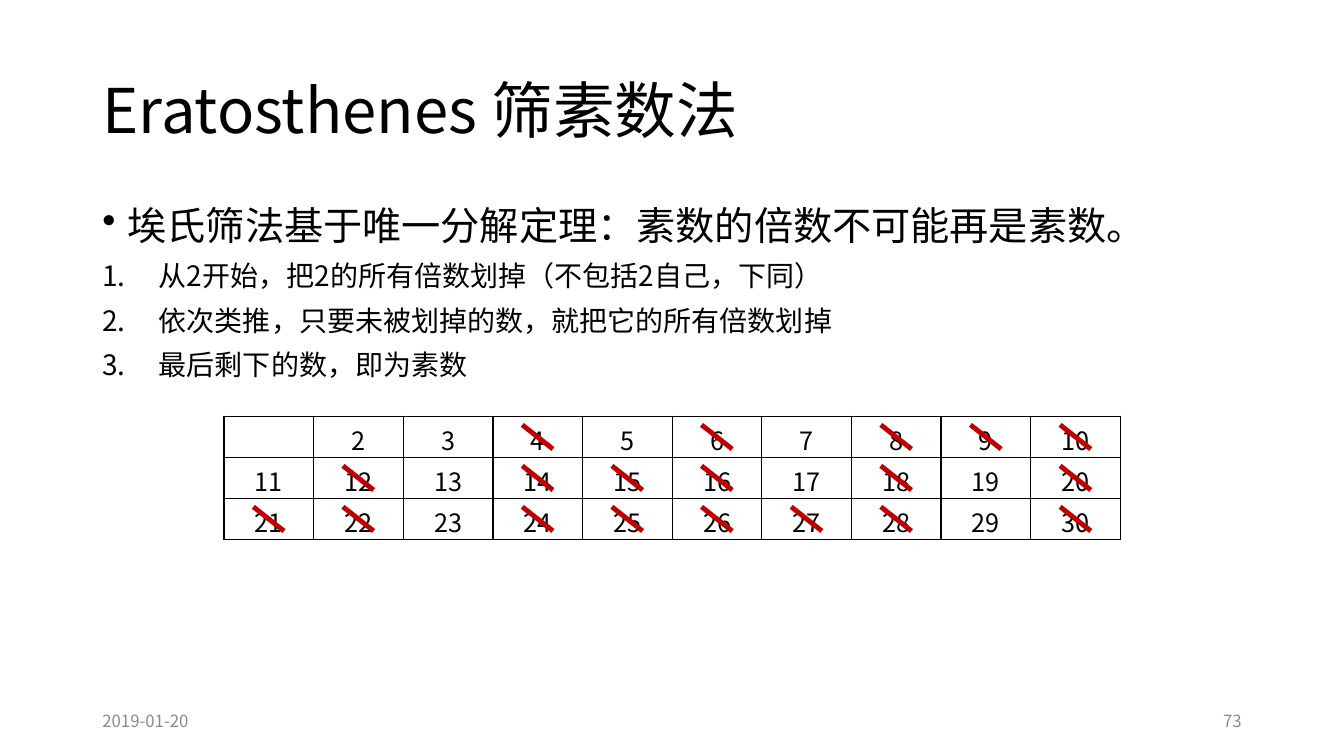
from dataclasses import dataclass

import lxml.etree
import pptx
import pptx.dml.color
import pptx.enum.shapes
import pptx.enum.text
import pptx.oxml.ns
import pptx.util

ALIGN = pptx.enum.text.PP_ALIGN
ANCHOR = pptx.enum.text.MSO_ANCHOR
qn = pptx.oxml.ns.qn


@dataclass(frozen=True)
class Theme:
    font: str = "Noto Sans CJK SC"
    ink: str = "000000"
    muted: str = "8C8C8C"
    strike: str = "C00000"
    title: int = 44
    lead: int = 28
    step: int = 20
    number: int = 18
    footer: int = 12
    border_width: float = 1
    strike_width: float = 3.5


class Deck:
    """Places elements by percentages of the slide's width and height."""

    def __init__(self, theme):
        self.theme = theme
        self.prs = pptx.Presentation()
        self.prs.slide_width = pptx.util.Inches(13.33)
        self.prs.slide_height = pptx.util.Inches(7.5)
        self.s = self.prs.slides.add_slide(self.prs.slide_layouts[5])

    def x(self, share):
        return round(self.prs.slide_width * share / 100)

    def y(self, share):
        return round(self.prs.slide_height * share / 100)

    def box(self, left, top, width, height):
        return self.x(left), self.y(top), self.x(width), self.y(height)

    def run(self, p, text, size, color=None):
        r = p.add_run()
        r.text = text
        r.font.size = pptx.util.Pt(size)
        r.font.color.rgb = pptx.dml.color.RGBColor.from_string(color or self.theme.ink)
        r.font.name = self.theme.font
        lxml.etree.SubElement(r.font._element, qn("a:ea"), typeface=self.theme.font)

    def title(self, text, *place):
        sp = self.s.shapes.title
        sp.left, sp.top, sp.width, sp.height = self.box(*place)
        tf = sp.text_frame
        tf.vertical_anchor = ANCHOR.MIDDLE
        tf.auto_size = pptx.enum.text.MSO_AUTO_SIZE.NONE
        p = tf.paragraphs[0]
        p.alignment = ALIGN.LEFT
        p.line_spacing = 0.9
        self.run(p, text, self.theme.title)

    def text_box(self, *place, anchor=ANCHOR.TOP):
        tf = self.s.shapes.add_textbox(*self.box(*place)).text_frame
        tf.word_wrap = True
        tf.vertical_anchor = anchor
        return tf

    def list_item(self, p, text, size, indent, marker, **marker_attributes):
        p.line_spacing = 0.9
        p.space_before = pptx.util.Pt(10)
        pPr = p._p.get_or_add_pPr()
        hang = pptx.util.Inches(indent)
        pPr.set("marL", str(hang))
        pPr.set("indent", str(-hang))
        lxml.etree.SubElement(pPr, qn(marker), **marker_attributes)
        self.run(p, text, size)

    def body(self, lead, steps, *place):
        tf = self.text_box(*place)
        self.list_item(tf.paragraphs[0], lead, self.theme.lead, 0.25, "a:buChar", char="•")
        for step in steps:
            self.list_item(tf.add_paragraph(), step, self.theme.step, 0.56,
                           "a:buAutoNum", type="arabicPeriod")

    def footer(self, text, align, *place):
        p = self.text_box(*place, anchor=ANCHOR.MIDDLE).paragraphs[0]
        p.alignment = align
        self.run(p, text, self.theme.footer, self.theme.muted)

    def borders(self, cell):
        tcPr = cell._tc.get_or_add_tcPr()
        width = str(pptx.util.Pt(self.theme.border_width))
        for side in ("a:lnL", "a:lnR", "a:lnT", "a:lnB"):
            ln = lxml.etree.SubElement(tcPr, qn(side), w=width)
            fill = lxml.etree.SubElement(ln, qn("a:solidFill"))
            lxml.etree.SubElement(fill, qn("a:srgbClr"), val=self.theme.ink)

    def number_table(self, rows, *place):
        frame = self.s.shapes.add_table(len(rows), len(rows[0]), *self.box(*place))
        table = frame.table
        table.first_row = table.horz_banding = False
        for i, row in enumerate(rows):
            for j, number in enumerate(row):
                cell = table.cell(i, j)
                self.borders(cell)
                cell.fill.background()
                p = cell.text_frame.paragraphs[0]
                p.alignment = ALIGN.CENTER
                if number > 1:
                    self.run(p, str(number), self.theme.number)

    def strike(self, left, top, width, height):
        line = self.s.shapes.add_connector(
            pptx.enum.shapes.MSO_CONNECTOR.STRAIGHT,
            self.x(left), self.y(top), self.x(left + width), self.y(top + height))
        line.line.color.rgb = pptx.dml.color.RGBColor.from_string(self.theme.strike)
        line.line.width = pptx.util.Pt(self.theme.strike_width)
        lxml.etree.SubElement(line._element.spPr, qn("a:effectLst"))


def is_composite(n):
    return any(n % d == 0 for d in range(2, n))


def main():
    deck = Deck(Theme())
    left, width = 6.88, 86.25
    deck.title("Eratosthenes 筛素数法", left, 5.33, width, 19.33)
    deck.body("埃氏筛法基于唯一分解定理：素数的倍数不可能再是素数。",
              ["从2开始，把2的所有倍数划掉（不包括2自己，下同）",
               "依次类推，只要未被划掉的数，就把它的所有倍数划掉",
               "最后剩下的数，即为素数"],
              left, 26.63, width, 63.45)

    footer_top, footer_width, footer_height = 92.67, 22.5, 5.33
    deck.footer("2019-01-20", ALIGN.LEFT, left, footer_top, footer_width, footer_height)
    deck.footer("73", ALIGN.RIGHT, left + width - footer_width, footer_top,
                footer_width, footer_height)

    columns, column, row = 10, 6.67, 5.42
    table_left, table_top = 16.67, 55.07
    rows = [range(first, first + columns) for first in (1, 11, 21)]
    deck.number_table(rows, table_left, table_top, columns * column, len(rows) * row)
    for i, numbers in enumerate(rows):
        for j, number in enumerate(numbers):
            if is_composite(number):
                deck.strike(table_left + j * column + 2.18,
                            table_top + i * row + 1.13, 2.28, 3.2)
    deck.prs.save("out.pptx")


if __name__ == "__main__":
    main()
